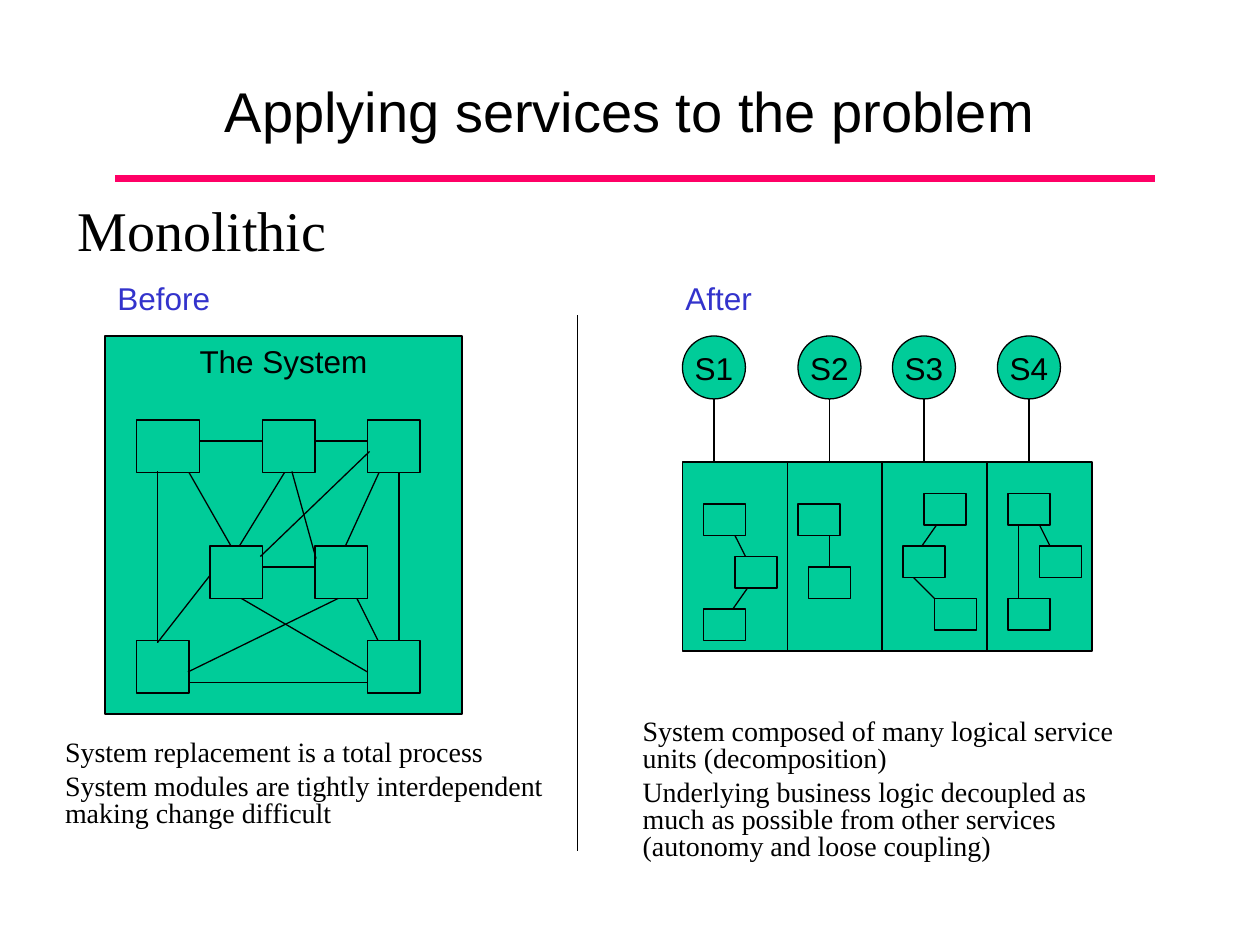
from dataclasses import dataclass

from lxml.etree import SubElement
from pptx import Presentation
from pptx.dml.color import RGBColor
from pptx.enum.shapes import MSO_CONNECTOR, MSO_SHAPE
from pptx.enum.text import MSO_ANCHOR, MSO_AUTO_SIZE, PP_ALIGN
from pptx.oxml.ns import qn
from pptx.util import Emu, Pt

EMU_PER_PX = 7620
BLACK = "000000"
GREEN = "00CC99"
BLUE = "3333CC"
PINK = "FF0066"
SANS = "Arial"
SERIF = "Times New Roman"


@dataclass(frozen=True)
class Box:
    left: int
    top: int
    width: int
    height: int


@dataclass(frozen=True)
class Link:
    start_x: int
    start_y: int
    end_x: int
    end_y: int


@dataclass(frozen=True)
class TextStyle:
    font: str
    size: int
    color: str = BLACK
    align: PP_ALIGN = PP_ALIGN.LEFT
    anchor: MSO_ANCHOR = MSO_ANCHOR.TOP
    wrap: bool = True
    line_spacing: float = 1.0
    space_before: int = 0


@dataclass(frozen=True)
class Service:
    name: str
    left: int
    units: tuple[tuple[int, int], ...]
    links: tuple[Link, ...]


TITLE = TextStyle(SANS, 32, align=PP_ALIGN.CENTER, anchor=MSO_ANCHOR.MIDDLE)
SUBTITLE = TextStyle(SERIF, 32)
HEADING = TextStyle(SANS, 18, BLUE, wrap=False)
SYSTEM = TextStyle(SANS, 18, align=PP_ALIGN.CENTER, wrap=False)
SERVICE = TextStyle(SANS, 18, align=PP_ALIGN.CENTER, anchor=MSO_ANCHOR.MIDDLE, wrap=False)
LIST = TextStyle(SERIF, 16, line_spacing=0.8, space_before=4)

MODULES = [Box(130, 400, 60, 50)] + [
    Box(left, top, 50, 50)
    for left, top in [(250, 400), (350, 400), (300, 520), (200, 520), (130, 610), (350, 610)]
]
MODULE_LINKS = [
    Link(180, 450, 220, 520),
    Link(150, 612, 200, 548),
    Link(150, 612, 150, 449),
    Link(190, 420, 250, 420),
    Link(300, 420, 350, 420),
    Link(271, 450, 228, 520),
    Link(361, 450, 329, 520),
    Link(250, 540, 300, 540),
    Link(230, 570, 350, 640),
    Link(322, 570, 179, 640),
    Link(180, 650, 350, 650),
    Link(380, 450, 380, 610),
    Link(352, 430, 248, 530),
    Link(301, 532, 278, 449),
    Link(340, 570, 360, 610),
]
SERVICES = [
    Service("S1", 650, ((670, 480), (700, 530), (670, 580)),
            (Link(700, 510, 710, 530), Link(712, 560, 698, 580))),
    Service("S2", 760, ((760, 480), (770, 540)), (Link(790, 510, 790, 540),)),
    Service("S3", 850, ((880, 470), (860, 520), (890, 570)),
            (Link(892, 500, 878, 520), Link(870, 550, 890, 570))),
    Service("S4", 950, ((960, 470), (990, 520), (960, 570)),
            (Link(990, 500, 1000, 520), Link(970, 500, 970, 570))),
]
SERVICE_DIVIDERS = [750, 840, 940]
BEFORE_POINTS = [
    "System replacement is a total process",
    "System modules are tightly interdependent making change difficult",
]
AFTER_POINTS = [
    "System composed of many logical service units (decomposition)",
    "Underlying business logic decoupled as much as possible from other services "
    "(autonomy and loose coupling)",
]


def px(length: int) -> Emu:
    return Emu(length * EMU_PER_PX)


def color(hex_string: str) -> RGBColor:
    return RGBColor.from_string(hex_string)


def place(shape, box: Box) -> None:
    shape.left, shape.top = px(box.left), px(box.top)
    shape.width, shape.height = px(box.width), px(box.height)


def write(shape, lines: list[str], style: TextStyle) -> None:
    frame = shape.text_frame
    frame.auto_size = MSO_AUTO_SIZE.NONE
    frame.word_wrap = style.wrap
    frame.vertical_anchor = style.anchor
    frame.margin_left = frame.margin_right = px(12)
    frame.margin_top = frame.margin_bottom = px(6)
    for index, line in enumerate(lines):
        paragraph = frame.add_paragraph() if index else frame.paragraphs[0]
        paragraph.alignment = style.align
        paragraph.line_spacing = style.line_spacing
        paragraph.space_before = Pt(style.space_before if index else 0)
        properties = paragraph._p.get_or_add_pPr()
        properties.set("marL", "0")
        properties.set("indent", "0")
        SubElement(properties, qn("a:buNone"))
        run = paragraph.add_run()
        run.text = line
        run.font.name = style.font
        run.font.size = Pt(style.size)
        run.font.color.rgb = color(style.color)


def fill_placeholder(placeholder, box: Box, lines: list[str], style: TextStyle) -> None:
    place(placeholder, box)
    write(placeholder, lines, style)


def add_label(slide, box: Box, text: str, style: TextStyle) -> None:
    label = slide.shapes.add_textbox(px(box.left), px(box.top), px(box.width), px(box.height))
    write(label, [text], style)


def add_block(slide, box: Box, kind: MSO_SHAPE = MSO_SHAPE.RECTANGLE):
    shape = slide.shapes.add_shape(kind, px(box.left), px(box.top), px(box.width), px(box.height))
    shape.shadow.inherit = False
    shape.fill.solid()
    shape.fill.fore_color.rgb = color(GREEN)
    shape.line.color.rgb = color(BLACK)
    shape.line.width = Pt(0.75)
    return shape


def add_link(slide, link: Link, line_color: str = BLACK, width: float = 0.75) -> None:
    connector = slide.shapes.add_connector(
        MSO_CONNECTOR.STRAIGHT, px(link.start_x), px(link.start_y), px(link.end_x), px(link.end_y))
    connector.line.color.rgb = color(line_color)
    connector.line.width = Pt(width)
    SubElement(connector._element.spPr, qn("a:effectLst"))


def draw_before(slide) -> None:
    add_label(slide, Box(100, 260, 112, 48), "Before", HEADING)
    write(add_block(slide, Box(100, 320, 340, 360)), ["The System"], SYSTEM)
    for module in MODULES:
        add_block(slide, module)
    for link in MODULE_LINKS:
        add_link(slide, link)


def draw_after(slide) -> None:
    add_label(slide, Box(641, 260, 88, 48), "After", HEADING)
    add_block(slide, Box(650, 440, 390, 180))
    for divider in SERVICE_DIVIDERS:
        add_link(slide, Link(divider, 440, divider, 620))
    for service in SERVICES:
        circle = add_block(slide, Box(service.left, 320, 60, 60), MSO_SHAPE.OVAL)
        write(circle, [service.name], SERVICE)
        center = service.left + 30
        add_link(slide, Link(center, 380, center, 440))
        for left, top in service.units:
            add_block(slide, Box(left, top, 40, 30))
        for link in service.links:
            add_link(slide, link)


def main() -> None:
    presentation = Presentation()
    presentation.slide_width, presentation.slide_height = px(1200), px(900)
    slide = presentation.slides.add_slide(presentation.slide_layouts[3])
    title, before_list, after_list = slide.placeholders
    add_link(slide, Link(110, 170, 1100, 170), PINK, 4.5)
    fill_placeholder(title, Box(90, 30, 1020, 150), ["Applying services to the problem"], TITLE)
    add_label(slide, Box(62, 180, 1080, 80), "Monolithic", SUBTITLE)
    add_link(slide, Link(550, 300, 550, 810))
    draw_before(slide)
    draw_after(slide)
    fill_placeholder(before_list, Box(50, 700, 490, 160), BEFORE_POINTS, LIST)
    fill_placeholder(after_list, Box(600, 680, 490, 160), AFTER_POINTS, LIST)
    presentation.save("out.pptx")


if __name__ == "__main__":
    main()
